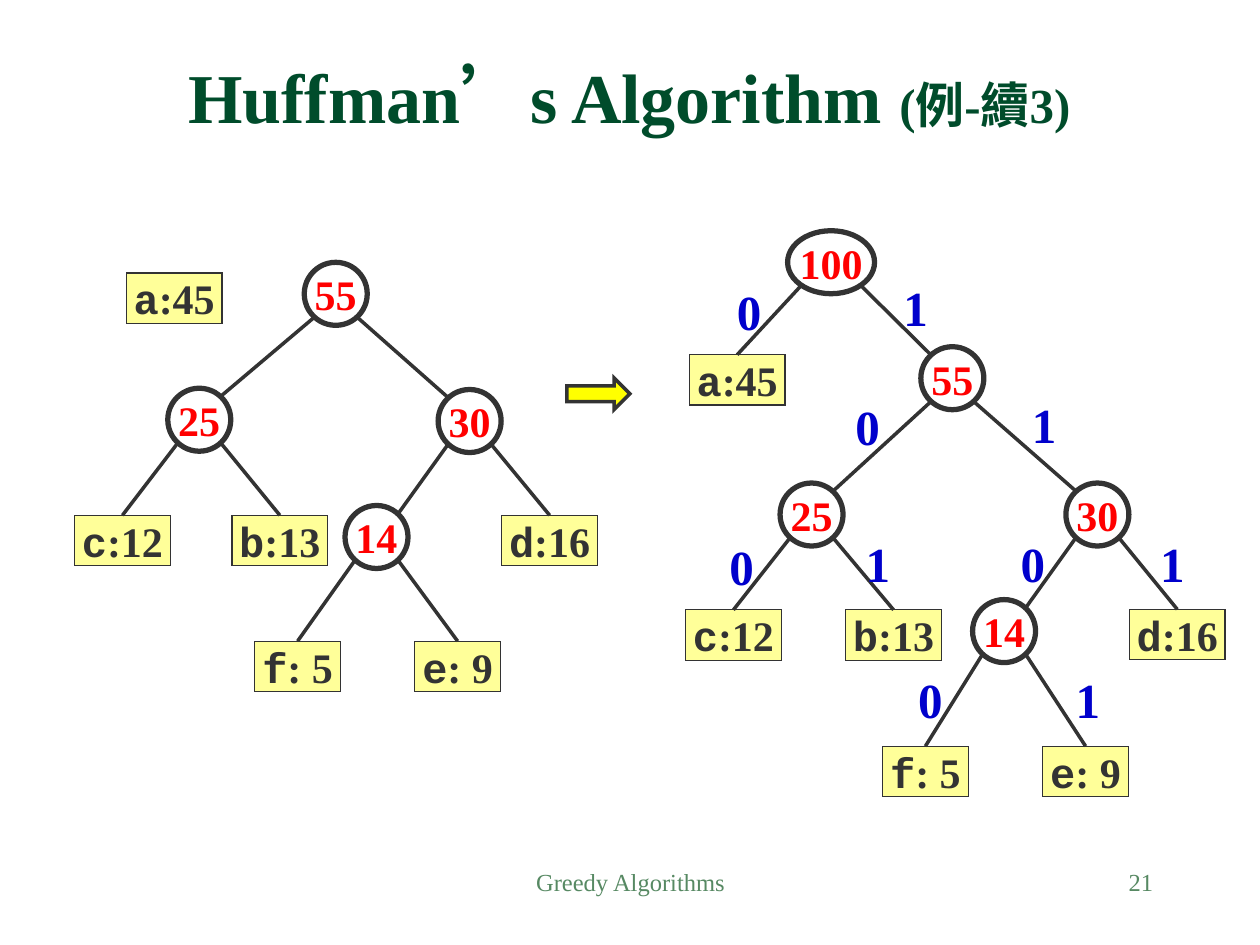
from pptx import Presentation
from pptx.dml.color import RGBColor
from pptx.enum.shapes import MSO_CONNECTOR, MSO_SHAPE
from pptx.enum.text import MSO_ANCHOR, MSO_AUTO_SIZE, PP_ALIGN
from pptx.oxml.ns import qn
from pptx.util import Inches, Pt

GREEN = RGBColor(0x00, 0x4C, 0x2B)
PALE_GREEN = RGBColor(0x57, 0x89, 0x63)
DARK = RGBColor(0x33, 0x33, 0x33)
RED = RGBColor(0xFF, 0x00, 0x00)
BLUE = RGBColor(0x00, 0x00, 0xCC)
CREAM = RGBColor(0xFF, 0xFF, 0x99)
YELLOW = RGBColor(0xFF, 0xFF, 0x00)
WHITE = RGBColor(0xFF, 0xFF, 0xFF)
SERIF, MONO = "Times New Roman", "Courier New"
CENTER, RIGHT = PP_ALIGN.CENTER, PP_ALIGN.RIGHT
TOP, MIDDLE = MSO_ANCHOR.TOP, MSO_ANCHOR.MIDDLE
FIT_NONE = MSO_AUTO_SIZE.NONE
OVAL, RECTANGLE, ARROW = MSO_SHAPE.OVAL, MSO_SHAPE.RECTANGLE, MSO_SHAPE.RIGHT_ARROW
STRAIGHT = MSO_CONNECTOR.STRAIGHT

PAGE_WIDTH, PAGE_HEIGHT = 10, 7.5
NODE_HEIGHT, LEAF_HEIGHT = 0.5, 0.4
CHILDREN = {"55": ("25", "30"), "25": ("c:12", "b:13"),
            "30": ("14", "d:16"), "14": ("f: 5", "e: 9")}

# Centres of the nodes, in percent of the tree's box
LEFT_BOX = (0.59, 2.08, 4.15, 3.41)
LEFT_NODES = {
    "a:45": (19.1, 8.4), "55": (50, 7.4), "25": (23.9, 36.7), "30": (75.6, 37),
    "14": (57.8, 64), "c:12": (9.2, 64.8), "b:13": (39.3, 64.8),
    "d:16": (90.9, 64.8), "f: 5": (42.7, 94.1), "e: 9": (73.3, 94.1)}
RIGHT_BOX = (5.44, 1.83, 4.28, 4.49)
RIGHT_NODES = {
    "100": (27, 5.6), "a:45": (9.6, 26.4), "55": (49.5, 26.1),
    "25": (23.4, 50.2), "30": (76.4, 50.2), "14": (59.1, 70.8),
    "c:12": (8.9, 71.5), "b:13": (38.6, 71.5), "d:16": (91.2, 71.4),
    "f: 5": (44.5, 95.6), "e: 9": (74.2, 95.6)}
# Centres of the 0 and 1 beside the two edges below each node
RIGHT_BITS = {
    "100": ((11.8, 14.1), (42.7, 13.5)), "55": ((33.8, 34.5), (66.5, 34.2)),
    "25": ((10.4, 59.2), (35.7, 58.7)), "30": ((64.4, 58.7), (90.3, 58.7)),
    "14": ((45.4, 82.7), (74.6, 82.7))}


def inches(*lengths):
    return [Inches(length) for length in lengths]


def place(box, share):
    left, top, width, height = box
    return left + width * share[0] / 100, top + height * share[1] / 100


def style_font(font, size, color, bold=True, name=SERIF):
    font.size, font.bold, font.name = Pt(size), bold, name
    font.color.rgb = color


def add_outlined(page, kind, box, fill, line_width):
    shape = page.shapes.add_shape(kind, *inches(*box))
    shape.shadow.inherit = False
    shape.fill.solid()
    shape.fill.fore_color.rgb = fill
    shape.line.color.rgb = DARK
    shape.line.width = Pt(line_width)
    # Sharp corners
    outline = shape.line._get_or_add_ln()
    outline.append(outline.makeelement(qn("a:miter"), {"lim": "800000"}))
    return shape


def add_text(page, box, text, size, color, align=CENTER, bold=True, wrap=True):
    frame = page.shapes.add_textbox(*inches(*box)).text_frame
    frame.word_wrap = wrap
    para = frame.paragraphs[0]
    para.text, para.alignment = text, align
    style_font(para.font, size, color, bold)


def node_size(label):
    if ":" in label:
        return (0.68 if " " in label else 0.76), LEAF_HEIGHT
    return (0.69 if len(label) > 2 else 0.5), NODE_HEIGHT


def add_node(page, center, label):
    """A leaf is a rectangle with a letter and count, an inner node a circle."""
    width, height = node_size(label)
    box = (center[0] - width / 2, center[1] - height / 2, width, height)
    leaf = ":" in label
    if leaf:
        shape = add_outlined(page, RECTANGLE, box, CREAM, 0.75)
    else:
        shape = add_outlined(page, OVAL, box, WHITE, 3)
    frame = shape.text_frame
    frame.word_wrap = False
    frame.margin_left = frame.margin_right = Inches(0.03 if leaf else 0)
    frame.margin_top = frame.margin_bottom = 0
    frame.vertical_anchor = TOP if leaf else MIDDLE
    para = frame.paragraphs[0]
    para.alignment = CENTER
    style_font(para.font, 24, DARK if leaf else RED)
    if leaf:
        letter = para.add_run()
        letter.text = label[0]
        letter.font.name = MONO
        para.add_run().text = label[1:]
    else:
        para.add_run().text = label


def add_edge(page, centers, parent, child, side):
    """Join the lower corner of a parent to the near top corner of its child."""
    def diagonal(label, across, down):
        width, height = node_size(label)
        x, y = centers[label]
        return x + across * width * 0.35, y + down * height * 0.38

    start = diagonal(parent, side, 1)
    if ":" in child:
        end = centers[child][0], centers[child][1] - LEAF_HEIGHT / 2
    else:
        end = diagonal(child, -side, -1)
    line = page.shapes.add_connector(STRAIGHT, *inches(*start, *end))
    line.line.color.rgb = DARK
    line.line.width = Pt(2)
    properties = line._element.spPr
    properties.append(properties.makeelement(qn("a:effectLst"), {}))


def add_tree(page, box, nodes, children, bits):
    centers = {label: place(box, share) for label, share in nodes.items()}
    for label, center in centers.items():
        add_node(page, center, label)
    for parent, pair in children.items():
        for child, side in zip(pair, (-1, 1)):
            add_edge(page, centers, parent, child, side)
    for pair in bits.values():
        for bit, share in zip("01", pair):
            x, y = place(box, share)
            add_text(page, (x - 0.2, y - 0.28, 0.4, 0.57), bit, 28, BLUE, wrap=False)


def add_title(page, box):
    title = page.shapes.title
    title.left, title.top, title.width, title.height = inches(*box)
    frame = title.text_frame
    frame.auto_size, frame.vertical_anchor = FIT_NONE, MIDDLE
    para = frame.paragraphs[0]
    para.alignment, para.line_spacing = CENTER, 1.5
    style_font(para.font, 40, GREEN)
    para.add_run().text = "Huffman’s Algorithm "
    suffix = para.add_run()
    suffix.text = "(例-續3)"
    suffix.font.size = Pt(28)


def add_footer(page, top, height):
    add_text(page, (3.42, top, 3.17, height), "Greedy Algorithms", 14, PALE_GREEN, bold=False)
    add_text(page, (7.17, top, 2.08, height), "21", 14, PALE_GREEN, RIGHT, bold=False)


def main():
    deck = Presentation()
    deck.slide_width, deck.slide_height = inches(PAGE_WIDTH, PAGE_HEIGHT)
    page = deck.slides.add_slide(deck.slide_layouts[5])
    add_title(page, (0.42, 0.08, 9.15, 1.02))
    # Before and after the last merge
    add_tree(page, LEFT_BOX, LEFT_NODES, CHILDREN, {})
    add_tree(page, RIGHT_BOX, RIGHT_NODES, {"100": ("a:45", "55"), **CHILDREN}, RIGHT_BITS)
    add_outlined(page, ARROW, (4.5, 3, 0.5, 0.25), YELLOW, 2)
    add_footer(page, 6.83, 0.5)
    deck.save("out.pptx")


if __name__ == "__main__":
    main()
